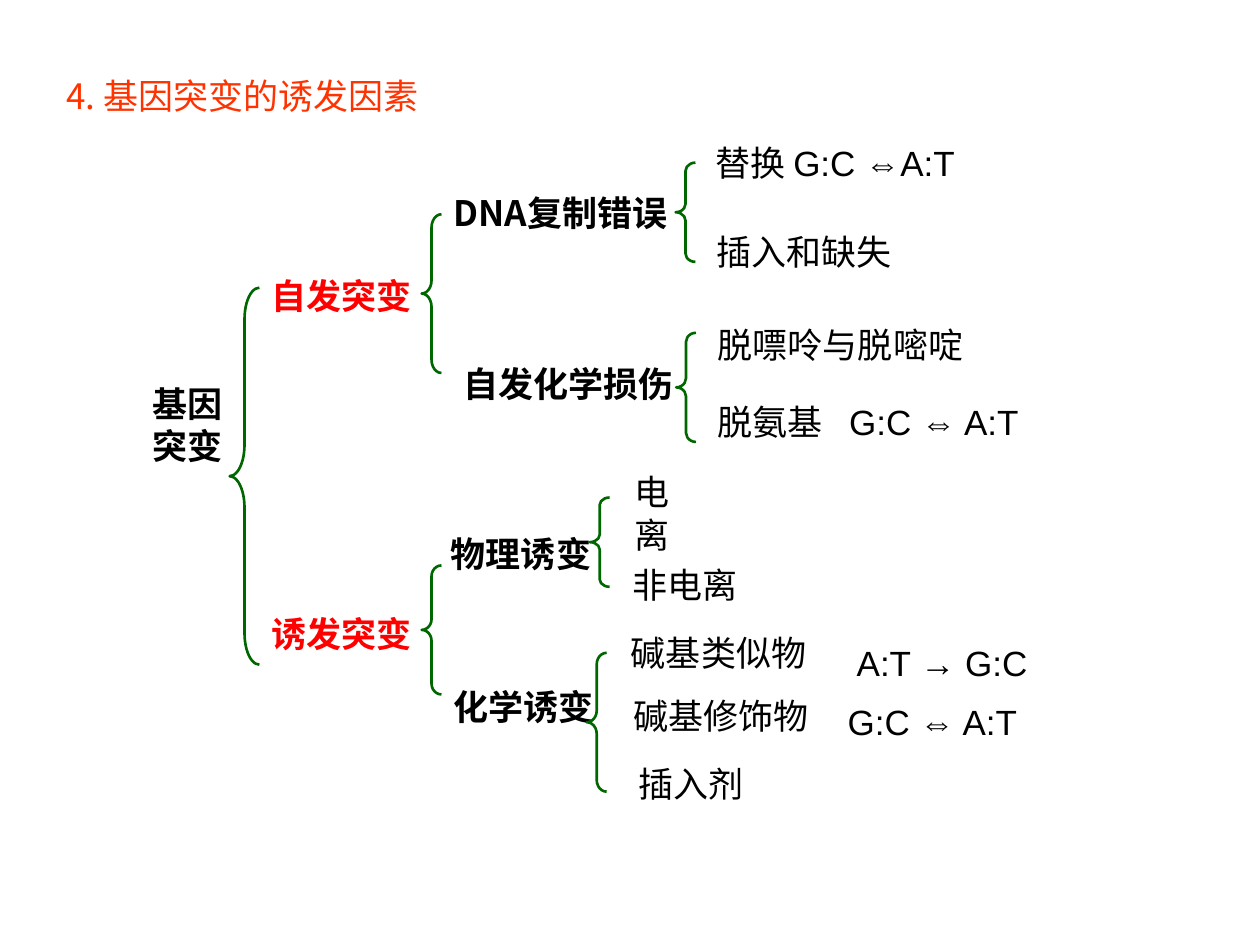
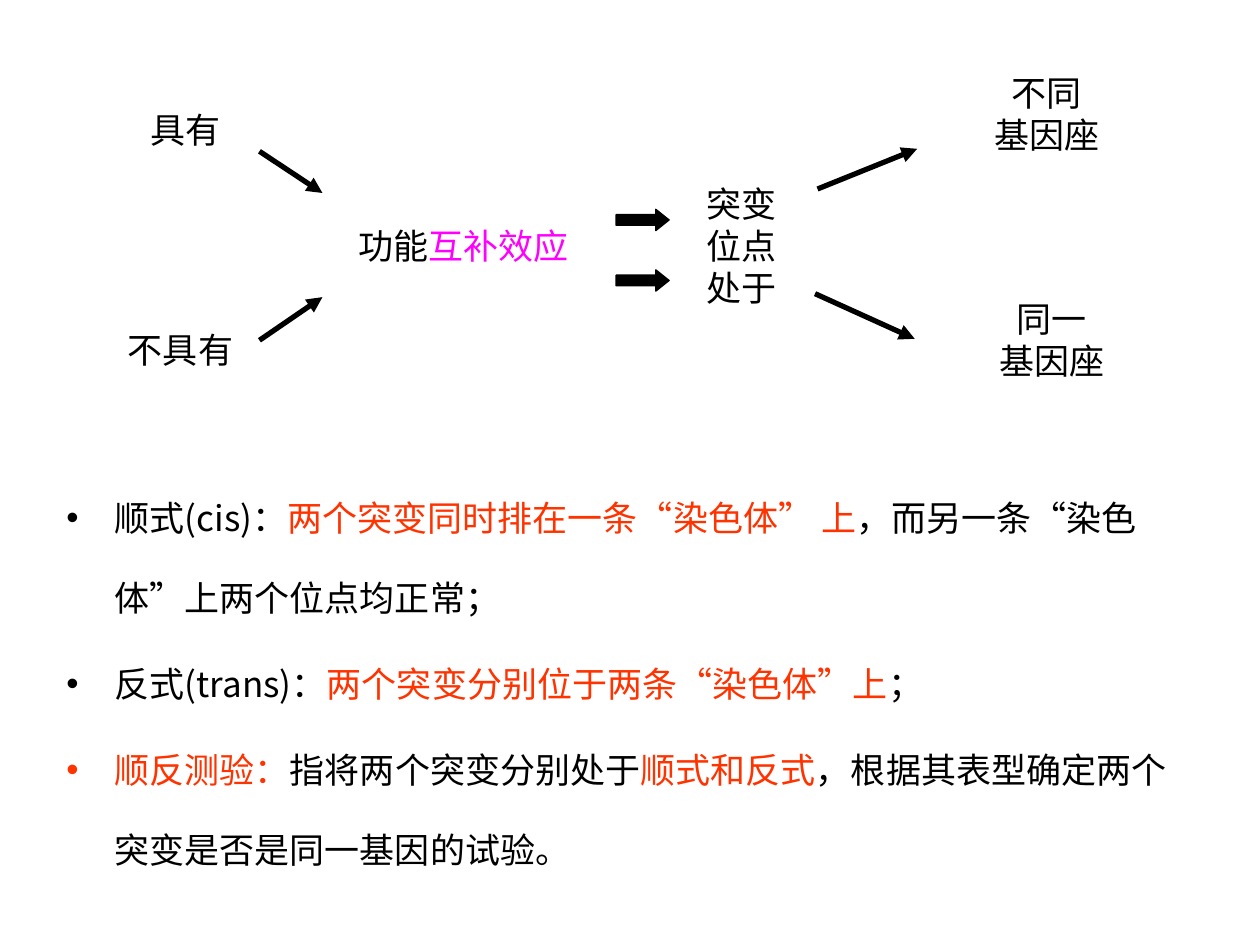
from lxml import etree
from pptx import Presentation
from pptx.dml.color import RGBColor
from pptx.enum.shapes import MSO_CONNECTOR, MSO_SHAPE
from pptx.enum.text import MSO_ANCHOR, MSO_AUTO_SIZE, PP_ALIGN
from pptx.oxml.ns import qn
from pptx.util import Cm, Pt

STRAIGHT = MSO_CONNECTOR.STRAIGHT
LEFT_BRACE, RIGHT_ARROW = MSO_SHAPE.LEFT_BRACE, MSO_SHAPE.RIGHT_ARROW
TOP, MIDDLE = MSO_ANCHOR.TOP, MSO_ANCHOR.MIDDLE
LEFT, CENTER = PP_ALIGN.LEFT, PP_ALIGN.CENTER
FIT, FIXED = MSO_AUTO_SIZE.SHAPE_TO_FIT_TEXT, MSO_AUTO_SIZE.NONE

BLACK, RED, ORANGE = "000000", "FF0000", "FF3300"
MAGENTA, GREEN = "FF00FF", "006600"
CJK, LATIN = "Noto Sans CJK SC", "Arial"
ROW = 1.12


def color(value):
    return RGBColor.from_string(value)


def assign(target, values):
    for name, value in values.items():
        setattr(target, name, value)


class Deck:
    size = Pt(20)

    def __init__(self):
        self.presentation = Presentation()
        assign(self.presentation, {"slide_width": Cm(25.4), "slide_height": Cm(19.05)})
        self.slide = None

    def new_slide(self):
        self.slide = self.presentation.slides.add_slide(self.presentation.slide_layouts[6])

    def add_runs(self, paragraph, runs, font=CJK, bold=False):
        for text, ink in runs:
            run = paragraph.add_run()
            run.text = text
            run.font.color.rgb = color(ink)
            assign(run.font, {"size": self.size, "name": font, "bold": bold})
            etree.SubElement(run._r.get_or_add_rPr(), qn("a:ea"), typeface=CJK)

    def frame(self, place, wrap=True, fit=FIXED, anchor=TOP):
        frame = self.slide.shapes.add_textbox(*map(Cm, place)).text_frame
        assign(frame, {"word_wrap": wrap, "auto_size": fit, "vertical_anchor": anchor})
        return frame

    def title(self, text, place):
        paragraph = self.frame(place).paragraphs[0]
        paragraph.line_spacing = 1.3
        self.add_runs(paragraph, [(text, ORANGE)])

    def branch(self, text, ink, place):
        self.add_runs(self.frame(place, fit=FIT).paragraphs[0], [(text, ink)], bold=True)

    def leaf(self, text, place):
        frame = self.frame(place, wrap=False, fit=FIT)
        self.add_runs(frame.paragraphs[0], [(text, BLACK)], font=LATIN)

    def label(self, lines, place):
        frame = self.frame(place, wrap=False, anchor=MIDDLE)
        for index, runs in enumerate(lines):
            paragraph = frame.add_paragraph() if index else frame.paragraphs[0]
            paragraph.alignment = CENTER
            self.add_runs(paragraph, runs)

    def bullets(self, items, place):
        frame = self.frame(place)
        for index, runs in enumerate(items):
            paragraph = frame.add_paragraph() if index else frame.paragraphs[0]
            properties = paragraph._p.get_or_add_pPr()
            properties.set("marL", str(Cm(0.97)))
            properties.set("indent", str(Cm(-0.97)))
            tint = etree.SubElement(properties, qn("a:buClr"))
            etree.SubElement(tint, qn("a:srgbClr"), val=runs[0][1])
            etree.SubElement(properties, qn("a:buFont"), typeface=LATIN)
            etree.SubElement(properties, qn("a:buChar"), char="•")
            assign(paragraph, {"alignment": LEFT, "line_spacing": 1.9,
                               "space_before": Pt(3.7 if index else 0)})
            self.add_runs(paragraph, runs)

    def shape(self, kind, place, adjustments, ink, width):
        shape = self.slide.shapes.add_shape(kind, *map(Cm, place))
        shape.shadow.inherit = False
        for index, value in enumerate(adjustments):
            shape.adjustments[index] = value
        shape.line.color.rgb = color(ink)
        shape.line.width = Pt(width)
        return shape

    def brace(self, left, top, width, height):
        curve = height / width / 12
        brace = self.shape(LEFT_BRACE, (left, top, width, height), (curve, 0.5), GREEN, 1.5)
        brace.fill.background()

    def block_arrow(self, place):
        arrow = self.shape(RIGHT_ARROW, place, (0.5, 0.625), BLACK, 0.75)
        arrow.fill.solid()
        arrow.fill.fore_color.rgb = color(BLACK)

    def arrow(self, ends):
        arrow = self.slide.shapes.add_connector(STRAIGHT, *map(Cm, ends))
        arrow.line.color.rgb = color(BLACK)
        arrow.line.width = Pt(3)
        properties = arrow._element.spPr
        etree.SubElement(properties.find(qn("a:ln")), qn("a:tailEnd"), type="triangle")
        etree.SubElement(properties, qn("a:effectLst"))


def mutation_causes(deck):
    deck.new_slide()
    deck.title("4. 基因突变的诱发因素", (1.09, 1.12, 9.6, 1.6))
    branches = [
        ("基因突变", BLACK, 2.82, 7.59, 2.41, 1.96),
        ("自发突变", RED, 5.23, 5.41, 4.39, ROW),
        ("诱发突变", RED, 5.23, 12.22, 4.39, ROW),
        ("DNA复制错误", BLACK, 8.89, 3.73, 5.99, ROW),
        ("自发化学损伤", BLACK, 9.09, 7.19, 5.99, ROW),
        ("物理诱变", BLACK, 8.84, 10.62, 4.39, ROW),
        ("化学诱变", BLACK, 8.89, 13.69, 4.39, ROW),
    ]
    for text, ink, *place in branches:
        deck.branch(text, ink, place)

    deck.brace(4.63, 5.8, 0.6, 7.6)
    sub_braces = [
        (8.5, 4.32, 3.2), (8.5, 11.4, 2.6), (13.62, 3.28, 2),
        (13.63, 6.71, 2.2), (11.89, 10.03, 1.8), (11.83, 13.16, 2.8),
    ]
    for left, top, height in sub_braces:
        deck.brace(left, top, 0.4, height)

    leaves = [
        ("替换 G:C ⇔A:T", 14.17, 2.72, 5.51),
        ("插入和缺失", 14.2, 4.52, 4.04),
        ("脱嘌呤与脱嘧啶", 14.22, 6.4, 5.46),
        ("脱氨基", 14.22, 7.95, 2.62),
        ("G:C ⇔ A:T", 16.87, 7.95, 3.96),
        ("电离", 12.55, 9.37, 1.91),
        ("非电离", 12.5, 11.23, 2.62),
        ("碱基类似物", 12.47, 12.6, 4.04),
        ("碱基修饰物", 12.52, 13.87, 4.04),
        ("插入剂", 12.62, 15.24, 2.62),
        ("A:T → G:C", 17.02, 12.8, 3.96),
        ("G:C ⇔ A:T", 16.84, 14, 3.96),
    ]
    for text, left, top, width in leaves:
        deck.leaf(text, (left, top, width, ROW))


def cis_trans_test(deck):
    deck.new_slide()
    labels = [
        (("不同", "基因座"), (18.03, 0.91, 6.15, 2.74)),
        (("同一", "基因座"), (18.24, 5.36, 5.92, 2.97)),
        (("具有",), (1.73, 1.55, 4.01, 2.11)),
        (("不具有",), (1.52, 5.99, 4.24, 2.11)),
        (("突变", "位点", "处于"), (13.89, 2.31, 2.11, 5.28)),
    ]
    for lines, place in labels:
        deck.label([[(line, BLACK)] for line in lines], place)
    deck.label([[("功能", BLACK), ("互补效应", MAGENTA)]], (6.71, 3.05, 5.28, 3.81))

    for ends in [
        (5.23, 3.05, 6.5, 3.89), (5.23, 6.86, 6.5, 5.99),
        (16.48, 3.81, 18.49, 3), (16.43, 5.92, 18.44, 6.83),
    ]:
        deck.arrow(ends)
    for top in (4.22, 5.44):
        deck.block_arrow((12.42, top, 1.07, 0.43))

    deck.bullets([
        [("顺式(cis)：", BLACK), ("两个突变同时排在一条“染色体” 上", ORANGE),
         ("，而另一条“染色体”上两个位点均正常；", BLACK)],
        [("反式(trans)：", BLACK), ("两个突变分别位于两条“染色体”上", ORANGE), ("；", BLACK)],
        [("顺反测验：", ORANGE), ("指将两个突变分别处于", BLACK), ("顺式和反式", ORANGE),
         ("，根据其表型确定两个突变是否是同一基因的试验。", BLACK)],
    ], (1.09, 9.12, 23.01, 8.74))


def main():
    deck = Deck()
    mutation_causes(deck)
    cis_trans_test(deck)
    deck.presentation.save("out.pptx")


if __name__ == "__main__":
    main()
